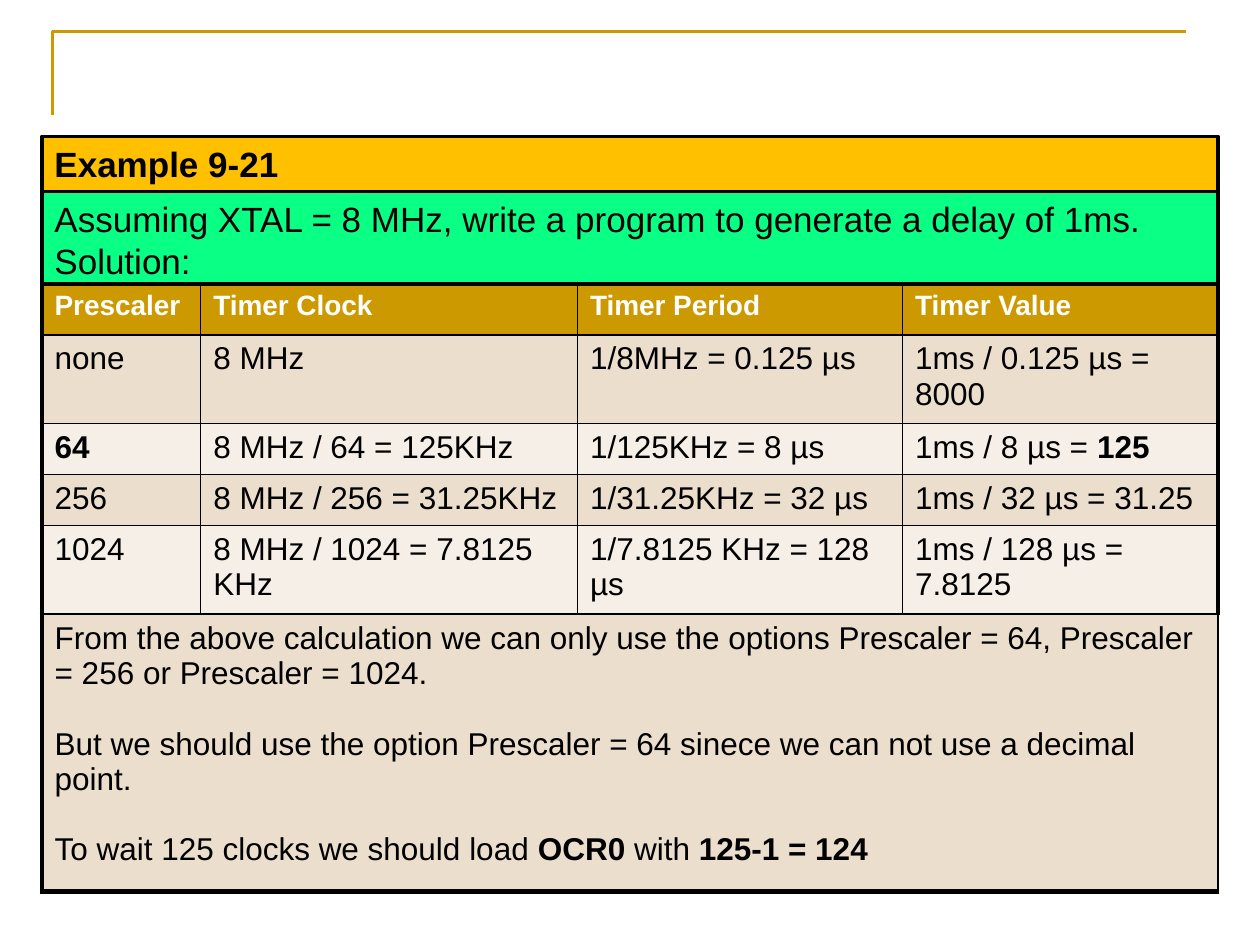
from dataclasses import dataclass

from pptx import Presentation
from pptx.dml.color import RGBColor as Rgb
from pptx.enum.shapes import MSO_SHAPE as Shape
from pptx.enum.text import MSO_ANCHOR as Anchor, PP_ALIGN as Align
from pptx.oxml import parse_xml
from pptx.oxml.ns import nsdecls
from pptx.util import Pt


@dataclass(frozen=True)
class Theme:
    font: str = "Arial"
    black: str = "000000"
    white: str = "FFFFFF"
    gold: str = "CC9900"
    title_fill: str = "FFC000"
    task_fill: str = "0AFF85"
    bands: tuple = ("ECDECC", "F6EFE7")
    title_size: float = 20
    head_size: float = 16
    body_size: float = 18
    blank_line: float = 20.2
    frame_width: float = 3
    grid_width: float = 1


THEME = Theme()
LEFT, WIDTH = 24, 672
TABLE_TOP = 162.2
COLUMNS = (90.7, 215.3, 185.8, 180.2)
ROW_HEIGHTS = (29.2, 50.6, 29.2, 29.2, 50.6, 158.3)

HEADS = ("Prescaler", "Timer Clock", "Timer Period", "Timer Value")
# Text between asterisks is bold
ROWS = (
    ("none", "8 MHz", "1/8MHz = 0.125 µs", "1ms / 0.125 µs = 8000"),
    ("*64*", "8 MHz / 64 = 125KHz", "1/125KHz = 8 µs", "1ms / 8 µs = *125*"),
    ("256", "8 MHz / 256 = 31.25KHz", "1/31.25KHz = 32 µs", "1ms / 32 µs = 31.25"),
    ("1024", "8 MHz / 1024 = 7.8125 KHz", "1/7.8125 KHz = 128 µs",
     "1ms / 128 µs = 7.8125"),
)
CONCLUSION = (
    "From the above calculation we can only use the options Prescaler = 64, "
    "Prescaler = 256 or Prescaler = 1024.",
    "But we should use the option Prescaler = 64 sinece we can not use a decimal point.",
    "To wait 125 clocks we should load *OCR0* with *125-1 = 124*",
)


def write(frame, lines, size, color=THEME.black, bold=False, gap=0):
    frame.word_wrap = True
    for index, line in enumerate(lines):
        para = frame.add_paragraph() if index else frame.paragraphs[0]
        para.alignment = Align.LEFT
        if index and gap:
            para.space_before = Pt(gap)
        para.font.name, para.font.size = THEME.font, Pt(size)
        para.font.bold = bold
        para.font.color.rgb = Rgb.from_string(color)
        for number, text in enumerate(line.split("*")):
            if text:
                span = para.add_run()
                span.text = text
                if number % 2:
                    span.font.bold = True


def add_bracket(page):
    builder = page.shapes.build_freeform(Pt(30), Pt(66))
    builder.add_line_segments([(Pt(30), Pt(18)), (Pt(678), Pt(18))], close=False)
    bracket = builder.convert_to_shape()
    bracket.shadow.inherit = False
    bracket.fill.background()
    bracket.line.color.rgb = Rgb.from_string(THEME.gold)
    bracket.line.width = Pt(1.5)


def add_banner(page, top, height, fill, lines, bold=False):
    box = page.shapes.add_shape(Shape.RECTANGLE, Pt(LEFT), Pt(top), Pt(WIDTH), Pt(height))
    box.shadow.inherit = False
    box.fill.solid()
    box.fill.fore_color.rgb = Rgb.from_string(fill)
    box.line.color.rgb = Rgb.from_string(THEME.black)
    box.line.width = Pt(2)
    box.text_frame.vertical_anchor = Anchor.TOP
    write(box.text_frame, lines, THEME.title_size, bold=bold)


def style_cell(cell, fill, outer_sides):
    # Borders come before the fill in the cell properties
    props = cell._tc.get_or_add_tcPr()
    for side in "LRTB":
        width = THEME.frame_width if side in outer_sides else THEME.grid_width
        props.append(parse_xml(
            f'<a:ln{side} {nsdecls("a")} w="{Pt(width)}"><a:solidFill>'
            f'<a:srgbClr val="{THEME.black}"/></a:solidFill></a:ln{side}>'))
    cell.fill.solid()
    cell.fill.fore_color.rgb = Rgb.from_string(fill)


def add_timer_table(page):
    last_row, last_column = len(ROW_HEIGHTS) - 1, len(COLUMNS) - 1
    table = page.shapes.add_table(
        len(ROW_HEIGHTS), len(COLUMNS), Pt(LEFT), Pt(TABLE_TOP),
        Pt(WIDTH), Pt(sum(ROW_HEIGHTS))).table
    for column, width in zip(table.columns, COLUMNS):
        column.width = Pt(width)

    for r, height in enumerate(ROW_HEIGHTS):
        table.rows[r].height = Pt(height)
        fill = THEME.bands[(r - 1) % 2] if r else THEME.gold
        for c in range(len(COLUMNS)):
            edges = {"T": r == 0, "B": r == last_row, "L": c == 0, "R": c == last_column}
            style_cell(table.cell(r, c), fill, [side for side in edges if edges[side]])

    # Header, calculations, conclusion
    for c, head in enumerate(HEADS):
        write(table.cell(0, c).text_frame, [head], THEME.head_size, THEME.white, True)
    for r, values in enumerate(ROWS, 1):
        for c, value in enumerate(values):
            write(table.cell(r, c).text_frame, [value], THEME.body_size)
    conclusion = table.cell(last_row, 0)
    conclusion.merge(table.cell(last_row, last_column))
    write(conclusion.text_frame, CONCLUSION, THEME.body_size, gap=THEME.blank_line)


def main():
    deck = Presentation()
    deck.slide_width, deck.slide_height = Pt(720), Pt(540)
    page = deck.slides.add_slide(deck.slide_layouts[6])
    add_bracket(page)
    add_banner(page, 109.4, 55.4, THEME.task_fill, (
        "Assuming XTAL = 8 MHz, write a program to generate a delay of 1ms.",
        "Solution:"))
    add_banner(page, 77.9, 31.5, THEME.title_fill, ["Example 9-21"], bold=True)
    add_timer_table(page)
    deck.save("out.pptx")


if __name__ == "__main__":
    main()
